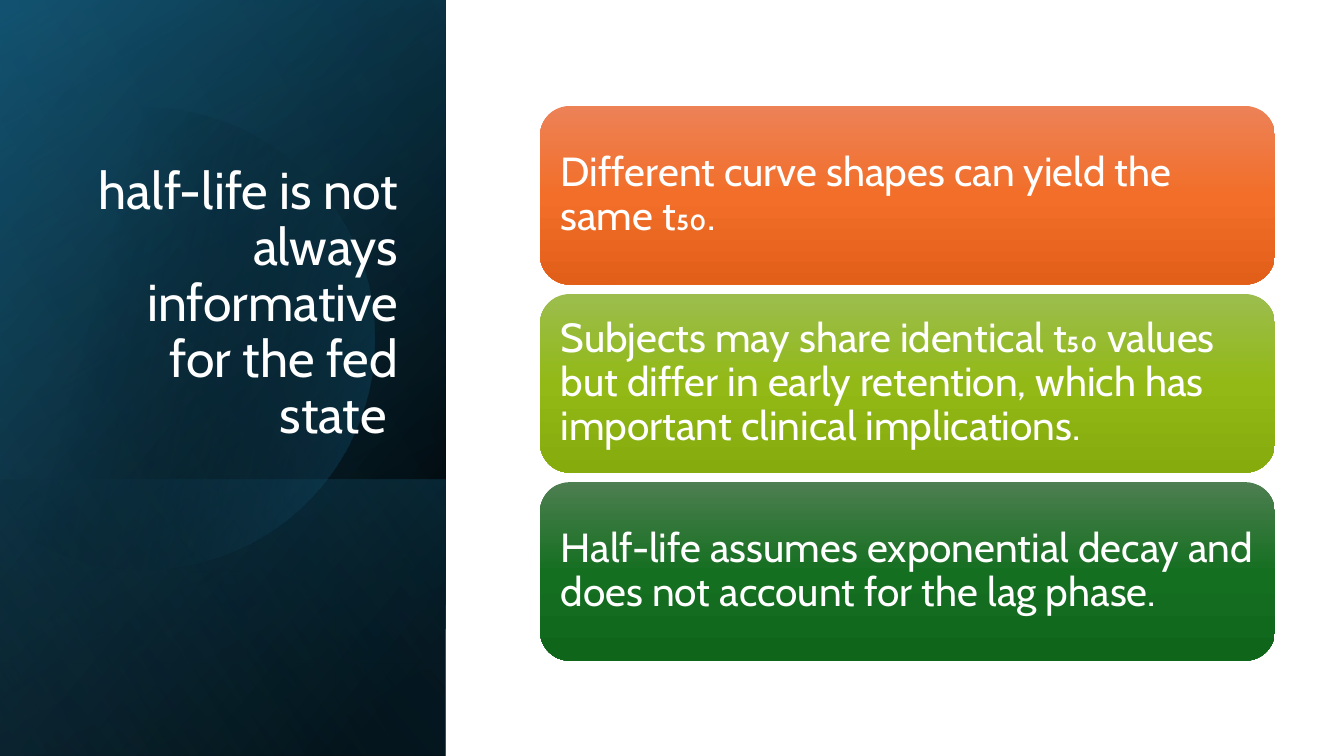
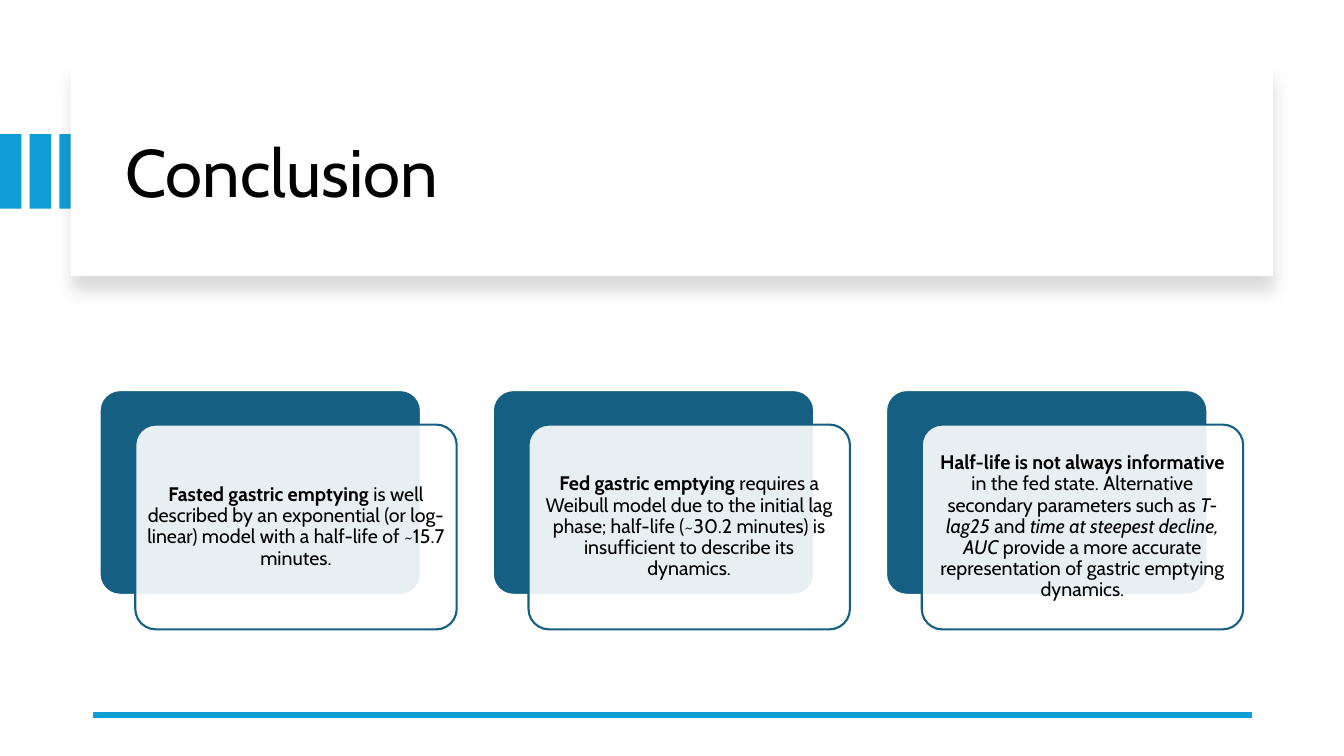
import math

from lxml import etree
from pptx import Presentation
from pptx.dml.color import RGBColor
from pptx.enum import shapes, text
from pptx.oxml import ns
from pptx.util import Cm, Pt

FONT = "Cabin"
WHITE = RGBColor(0xFF, 0xFF, 0xFF)
BLACK = RGBColor(0x00, 0x00, 0x00)
NAVY = RGBColor(0x10, 0x48, 0x62)
TEAL = RGBColor(0x15, 0x60, 0x82)
SKY = RGBColor(0x46, 0xB1, 0xE1)
BLUE = RGBColor(0x0F, 0x9E, 0xD5)
ORANGES = (RGBColor(0xED, 0x82, 0x57), RGBColor(0xF2, 0x6E, 0x29), RGBColor(0xE2, 0x5F, 0x1A))
LIMES = (RGBColor(0x9C, 0xBD, 0x4E), RGBColor(0x92, 0xB9, 0x16), RGBColor(0x85, 0xAB, 0x0D))
GREENS = (RGBColor(0x4D, 0x7E, 0x50), RGBColor(0x15, 0x6F, 0x21), RGBColor(0x0F, 0x66, 0x1B))

PAGE_WIDTH, PAGE_HEIGHT = 33.87, 19.05
PANEL_WIDTH = 11.23
TITLE_ONLY = 5

STATEMENTS = [
    ("Different curve shapes can yield the same t₅₀.", ORANGES),
    ("Subjects may share identical t₅₀ values but differ in early retention, "
     "which has important clinical implications.", LIMES),
    ("Half-life assumes exponential decay and does not account for the lag phase.", GREENS),
]
CONCLUSIONS = [
    [("Fasted gastric emptying", "bold"),
     (" is well described by an exponential (or log-linear) model with a half-life of "
      "~15.7 minutes.", "")],
    [("Fed gastric emptying", "bold"),
     (" requires a Weibull model due to the initial lag phase; half-life (~30.2 minutes) is "
      "insufficient to describe its dynamics.", "")],
    [("Half-life is not always informative", "bold"),
     (" in the fed state. Alternative secondary parameters such as ", ""),
     ("T-lag25", "italic"),
     (" and ", ""),
     ("time at steepest decline, AUC", "italic"),
     (" provide a more accurate representation of gastric emptying dynamics.", "")],
]


def add_node(parent, tag, **attributes):
    node = etree.SubElement(parent, ns.qn(tag))
    for name, value in attributes.items():
        node.set(name, str(value))
    return node


def add_colour(parent, colour, opacity):
    node = add_node(parent, "a:srgbClr", val=colour)
    if opacity < 100:
        add_node(node, "a:alpha", val=opacity * 1000)


def set_gradient(shape, stops, angle):
    shape.fill.background()
    properties = shape.element.spPr
    gradient = etree.Element(ns.qn("a:gradFill"), rotWithShape="1")
    stop_list = add_node(gradient, "a:gsLst")
    for position, colour, opacity in stops:
        add_colour(add_node(stop_list, "a:gs", pos=position * 1000), colour, opacity)
    add_node(gradient, "a:lin", ang=round(angle * 60000), scaled=0)
    properties.replace(properties.find(ns.qn("a:noFill")), gradient)


def set_solid(shape, colour, opacity=100):
    shape.fill.solid()
    shape.fill.fore_color.rgb = colour
    if opacity < 100:
        solid = shape.element.spPr.find(ns.qn("a:solidFill"))
        add_node(solid[0], "a:alpha", val=opacity * 1000)


def set_shadow(shape, opacity, blur, distance):
    effects = shape.element.spPr.find(ns.qn("a:effectLst"))
    shadow = add_node(effects, "a:outerShdw", blurRad=Pt(blur), dist=Pt(distance),
                      dir=90 * 60000, algn="t", rotWithShape=0)
    add_colour(shadow, BLACK, opacity)


def add_box(page, left, top, width, height, kind=shapes.MSO_SHAPE.RECTANGLE):
    box = page.shapes.add_shape(kind, Cm(left), Cm(top), Cm(width), Cm(height))
    box.shadow.inherit = False
    box.line.fill.background()
    return box


def add_outlined_box(page, left, top, fill, outline, opacity=100):
    box = add_box(page, left, top, 8.1, 5.16, shapes.MSO_SHAPE.ROUNDED_RECTANGLE)
    box.adjustments[0] = 0.1
    set_solid(box, fill, opacity)
    box.line.color.rgb = outline
    box.line.width = Pt(1.5)
    return box


def format_paragraph(para, size, colour, alignment):
    para.font.name = FONT
    para.font.size = Pt(size)
    para.font.color.rgb = colour
    para.alignment = alignment
    para.line_spacing = 0.9


def write_text(box, spans, inset, size, colour, alignment):
    frame = box.text_frame
    frame.word_wrap = True
    frame.vertical_anchor = text.MSO_ANCHOR.MIDDLE
    frame.margin_left = frame.margin_right = Cm(inset)
    frame.margin_top = frame.margin_bottom = Cm(inset)
    para = frame.paragraphs[0]
    format_paragraph(para, size, colour, alignment)
    for words, style in spans:
        span = para.add_run()
        span.text = words
        if style == "bold":
            span.font.bold = True
        elif style == "italic":
            span.font.italic = True


def place_title(page, words, area, size, colour, alignment, anchor):
    title = page.shapes.title
    title.left, title.top, title.width, title.height = map(Cm, area)
    title.element.getparent().append(title.element)
    frame = title.text_frame
    frame.text = words
    frame.word_wrap = True
    frame.auto_size = text.MSO_AUTO_SIZE.NONE
    frame.vertical_anchor = anchor
    format_paragraph(frame.paragraphs[0], size, colour, alignment)


def add_panel_layer(page, top, stops, angle):
    height = PAGE_HEIGHT - top
    shift = (height - PANEL_WIDTH) / 2
    layer = add_box(page, -shift, top + shift, height, PANEL_WIDTH)
    layer.rotation = 90
    layer.element.spPr.find(ns.qn("a:xfrm")).set("flipH", "1")
    set_gradient(layer, stops, angle)


def add_panel_disc(page):
    centre_x, centre_y, radius = 3.63, 8.53, 5.82
    reach = math.acos(-centre_x / radius)
    steps = 90
    angles = [reach * (2 * step / steps - 1) for step in range(steps + 1)]
    points = [(Cm(centre_x + radius * math.cos(angle)), Cm(centre_y + radius * math.sin(angle)))
              for angle in angles]
    builder = page.shapes.build_freeform(*points[0])
    builder.add_line_segments(points[1:], close=True)
    disc = builder.convert_to_shape()
    disc.shadow.inherit = False
    disc.line.fill.background()
    set_gradient(disc, [(29, BLACK, 0), (100, TEAL, 43)], 14)


def add_statement(page, index, words, colours):
    box = add_box(page, 13.61, 2.67 + index * 4.74, 18.52, 4.5,
                  shapes.MSO_SHAPE.ROUNDED_RECTANGLE)
    stops = [(position, colour, 100) for position, colour in zip((0, 50, 100), colours)]
    set_gradient(box, stops, 90)
    write_text(box, [(words, "")], 0.3, 29, WHITE, text.PP_ALIGN.LEFT)


def add_conclusion(page, index, spans):
    left, top = 2.51 + index * 9.91, 9.83
    add_outlined_box(page, left, top, TEAL, WHITE)
    card = add_outlined_box(page, left + 0.9, top + 0.87, WHITE, TEAL, 90)
    write_text(card, spans, 0.15, 14, BLACK, text.PP_ALIGN.CENTER)


def add_banner(page):
    for index in range(3):
        set_solid(add_box(page, index * 0.75, 3.38, 0.54, 1.88), BLUE)
    banner = add_box(page, 1.78, 1.7, 30.3, 5.26)
    set_solid(banner, WHITE)
    set_shadow(banner, 15, 11, 10)


def add_footer_line(page):
    line = page.shapes.add_connector(shapes.MSO_CONNECTOR.STRAIGHT,
                                     Cm(31.55), Cm(18.01), Cm(2.34), Cm(18.01))
    line.line.color.rgb = BLUE
    line.line.width = Pt(4.5)
    add_node(line.element.spPr, "a:effectLst")


def build_half_life(deck):
    page = deck.slides.add_slide(deck.slide_layouts[TITLE_ONLY])
    add_panel_layer(page, 0, [(8, BLACK, 100), (100, NAVY, 100)], 50)
    add_panel_layer(page, 0, [(0, BLACK, 0), (99, TEAL, 46)], 30)
    add_panel_layer(page, 12.09, [(2, TEAL, 29), (100, BLACK, 30)], 130)
    add_panel_disc(page)
    add_panel_layer(page, 0, [(0, BLACK, 0), (99, SKY, 11)], 120)
    place_title(page, "half-life is not always informative for the fed state ",
                (1.63, 4.67, 8.66, 6.65), 37, WHITE,
                text.PP_ALIGN.RIGHT, text.MSO_ANCHOR.BOTTOM)
    for index, (words, colours) in enumerate(STATEMENTS):
        add_statement(page, index, words, colours)


def build_conclusion(deck):
    page = deck.slides.add_slide(deck.slide_layouts[TITLE_ONLY])
    add_banner(page)
    place_title(page, "Conclusion", (2.9, 2.26, 28.27, 4.32), 48, BLACK,
                text.PP_ALIGN.LEFT, text.MSO_ANCHOR.MIDDLE)
    add_footer_line(page)
    for index, spans in enumerate(CONCLUSIONS):
        add_conclusion(page, index, spans)


def main():
    deck = Presentation()
    deck.slide_width, deck.slide_height = Cm(PAGE_WIDTH), Cm(PAGE_HEIGHT)
    build_half_life(deck)
    build_conclusion(deck)
    deck.save("out.pptx")


if __name__ == "__main__":
    main()
